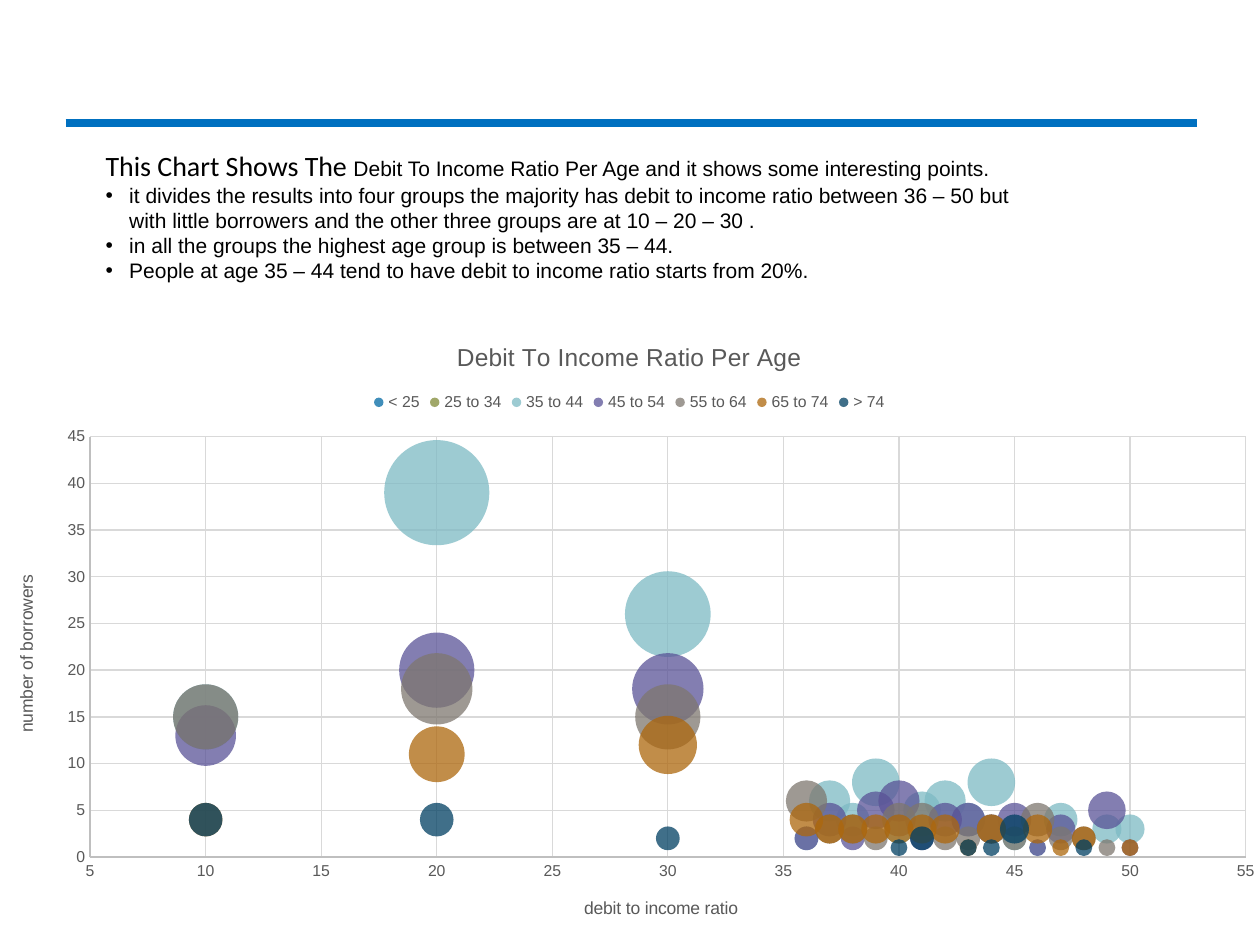
from lxml import etree
from pptx import Presentation
from pptx.chart.data import BubbleChartData
from pptx.dml.color import RGBColor
from pptx.enum.chart import XL_CHART_TYPE, XL_LEGEND_POSITION, XL_TICK_MARK
from pptx.enum.shapes import MSO_CONNECTOR
from pptx.enum.text import MSO_AUTO_SIZE
from pptx.oxml.ns import qn
from pptx.util import Pt

BUBBLE = XL_CHART_TYPE.BUBBLE
TOP = XL_LEGEND_POSITION.TOP
NO_TICK = XL_TICK_MARK.NONE
STRAIGHT = MSO_CONNECTOR.STRAIGHT
GROW = MSO_AUTO_SIZE.SHAPE_TO_FIT_TEXT

GREY = "595959"
RATIOS = [10, 20, 30, *range(36, 51)]
AGE_GROUPS = [
    ("< 25", "0069A3",
     [3, 18, 10, None, 1, 1, 1, None, 3, 3, 2, 2, None, 1, None, 2, None, None]),
    ("25 to 34", "818A37",
     [10, 12, 10, 2, None, None, 3, 1, 1, 3, 1, 2, 1, 1, 1, 2, None, None]),
    ("35 to 44", "7DBAC4",
     [15, 39, 26, 2, 6, 4, 8, 3, 5, 6, 4, 8, 2, 1, 4, None, 3, 3]),
    ("45 to 54", "5A5397",
     [13, 20, 18, 2, 4, 2, 5, 6, 2, 4, 4, 3, 4, 1, 3, None, 5, 1]),
    ("55 to 64", "7E776F",
     [15, 18, 15, 6, 3, 3, 2, 4, 4, 2, 2, 3, 2, 4, 2, 2, 1, None]),
    ("65 to 74", "AD670D",
     [4, 11, 12, 4, 3, 3, 3, 3, 3, 3, 1, 3, None, 3, 1, 2, None, 1]),
    ("> 74", "003F62",
     [4, 4, 2, None, None, None, None, 1, 2, None, 1, 1, 3, None, None, 1, None, None]),
]
INTRO = [
    ("This Chart Shows The ", "Calibri", 16),
    ("Debit To Income Ratio Per Age and it shows some interesting points.", "Arial", 12),
]
POINTS = [
    "it divides the results into four groups the majority has debit to income ratio "
    "between 36 – 50 but with little borrowers and the other three groups are at "
    "10 – 20 – 30 .",
    "in all the groups the highest age group is between 35 – 44.",
    "People at age 35 – 44 tend to have debit to income ratio starts from 20%.",
]


def rgb(value):
    return RGBColor.from_string(value)


def style_font(font, size, color, name="Arial"):
    font.name = name
    font.size = Pt(size)
    font.bold = False
    font.color.rgb = rgb(color)


def style_line(line, color, width):
    line.color.rgb = rgb(color)
    line.width = Pt(width)


def add_rule(s, left, top, width):
    sp = s.shapes.add_connector(STRAIGHT, Pt(left), Pt(top), Pt(left + width), Pt(top))
    style_line(sp.line, "0070C0", 4.5)
    etree.SubElement(sp._element.spPr, qn("a:effectLst"))


def add_bullet(p):
    pPr = p._p.get_or_add_pPr()
    pPr.set("marL", str(Pt(13.5)))
    pPr.set("indent", str(-Pt(13.5)))
    etree.SubElement(pPr, qn("a:buFont")).set("typeface", "Arial")
    etree.SubElement(pPr, qn("a:buChar")).set("char", "•")


def add_findings(s, left, top, width, height):
    tf = s.shapes.add_textbox(Pt(left), Pt(top), Pt(width), Pt(height)).text_frame
    tf.word_wrap = True
    tf.auto_size = GROW
    for text, name, size in INTRO:
        r = tf.paragraphs[0].add_run()
        r.text = text
        style_font(r.font, size, "000000", name)
    for text in POINTS:
        p = tf.add_paragraph()
        p.text = text
        add_bullet(p)
        style_font(p.runs[0].font, 12, "000000")


def set_title(title, text, size):
    p = title.text_frame.paragraphs[0]
    p.text = text
    style_font(p.runs[0].font, size, GREY)


def style_axis(axis, title, low, high):
    axis.minimum_scale, axis.maximum_scale, axis.major_unit = low, high, 5
    axis.major_tick_mark = axis.minor_tick_mark = NO_TICK
    axis.has_major_gridlines = True
    style_line(axis.major_gridlines.format.line, "D9D9D9", 0.75)
    style_line(axis.format.line, "BFBFBF", 0.75)
    style_font(axis.tick_labels.font, 9, GREY)
    set_title(axis.axis_title, title, 10)


def place_plot(chart, **box):
    area = chart.element.find(".//" + qn("c:plotArea"))
    for old in area.findall(qn("c:layout")):
        area.remove(old)
    layout = etree.Element(qn("c:layout"))
    area.insert(0, layout)
    manual = etree.SubElement(layout, qn("c:manualLayout"))
    settings = {"layoutTarget": "inner", "xMode": "edge", "yMode": "edge", **box}
    for tag, value in settings.items():
        etree.SubElement(manual, qn("c:" + tag)).set("val", str(value))


def add_ratio_chart(s, left, top, width, height):
    data = BubbleChartData(number_format="General")
    for name, _, counts in AGE_GROUPS:
        series = data.add_series(name)
        for ratio, count in zip(RATIOS, counts):
            if count is not None:
                series.add_data_point(ratio, count, count)
    chart = s.shapes.add_chart(
        BUBBLE, Pt(left), Pt(top), Pt(width), Pt(height), data).chart
    style_font(chart.font, 10, "000000")
    chart.has_title = True
    set_title(chart.chart_title, "Debit To Income Ratio Per Age", 14)
    chart.has_legend = True
    chart.legend.position = TOP
    chart.legend.include_in_layout = False
    style_font(chart.legend.font, 9, GREY)
    style_axis(chart.category_axis, "debit to income ratio", 5, 55)
    style_axis(chart.value_axis, "number of borrowers", 0, 45)
    for series, (_, color, _) in zip(chart.plots[0].series, AGE_GROUPS):
        fill = series.format.fill
        fill.solid()
        fill.fore_color.rgb = rgb(color)
        series.format.line.fill.background()
        clr = series._element.find(qn("c:spPr")).find(".//" + qn("a:srgbClr"))
        etree.SubElement(clr, qn("a:alpha")).set("val", "75000")
    place_plot(chart, x=0.08, y=0.19, w=0.9, h=0.67)


def main():
    prs = Presentation()
    prs.slide_width, prs.slide_height = Pt(720), Pt(540)
    s = prs.slides.add_slide(prs.slide_layouts[6])
    add_rule(s, 37.5, 70.5, 646.5)
    add_findings(s, 53.3, 81.4, 542.9, 101.5)
    add_ratio_chart(s, -7.2, 181.4, 733.7, 358.6)
    prs.save("out.pptx")


if __name__ == "__main__":
    main()
